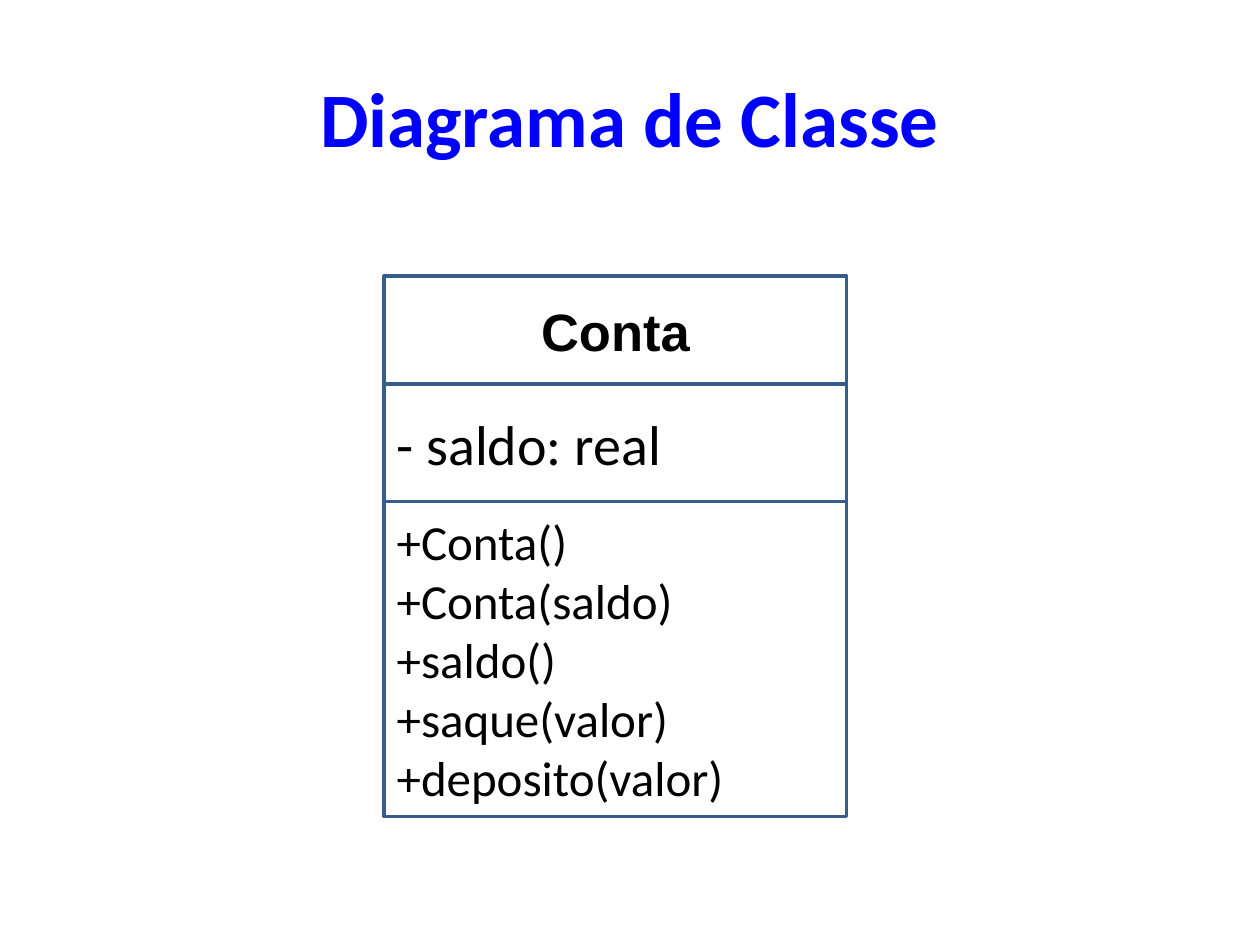
from pptx import Presentation
from pptx.dml.color import RGBColor
from pptx.enum.shapes import MSO_SHAPE
from pptx.enum.text import MSO_ANCHOR, PP_ALIGN
from pptx.util import Inches, Pt


def color(hex_value):
    return RGBColor.from_string(hex_value)


def write(frame, lines, size, font="Calibri", fill="000000", bold=False, align=PP_ALIGN.LEFT):
    frame.word_wrap = True
    frame.vertical_anchor = MSO_ANCHOR.MIDDLE
    frame.text = "\n".join(lines)
    for paragraph in frame.paragraphs:
        paragraph.alignment = align
        for run in paragraph.runs:
            run.font.name = font
            run.font.size = Pt(size)
            run.font.bold = bold
            run.font.color.rgb = color(fill)


deck = Presentation()
deck.slide_width, deck.slide_height = Inches(10), Inches(7.5)
slide = deck.slides.add_slide(deck.slide_layouts[5])

heading = slide.shapes.title
heading.left, heading.top = Inches(0.5), Inches(0.3)
heading.width, heading.height = Inches(9), Inches(1.25)
write(heading.text_frame, ["Diagrama de Classe"], 44, fill="0000FF", bold=True, align=PP_ALIGN.CENTER)

methods = ["+Conta()", "+Conta(saldo)", "+saldo()", "+saque(valor)", "+deposito(valor)"]
compartments = [
    (0.86, ["Conta"], dict(size=30, font="Arial", bold=True, align=PP_ALIGN.CENTER)),
    (0.93, ["- saldo: real"], dict(size=32)),
    (2.5, methods, dict(size=28)),
]

top = 2.19
for height, lines, style in compartments:
    compartment = slide.shapes.add_shape(
        MSO_SHAPE.RECTANGLE, Inches(3.05), Inches(top), Inches(3.67), Inches(height)
    )
    compartment.shadow.inherit = False
    compartment.fill.background()
    compartment.line.color.rgb = color("385D8A")
    compartment.line.width = Pt(2)
    write(compartment.text_frame, lines, **style)
    top += height

deck.save("out.pptx")
